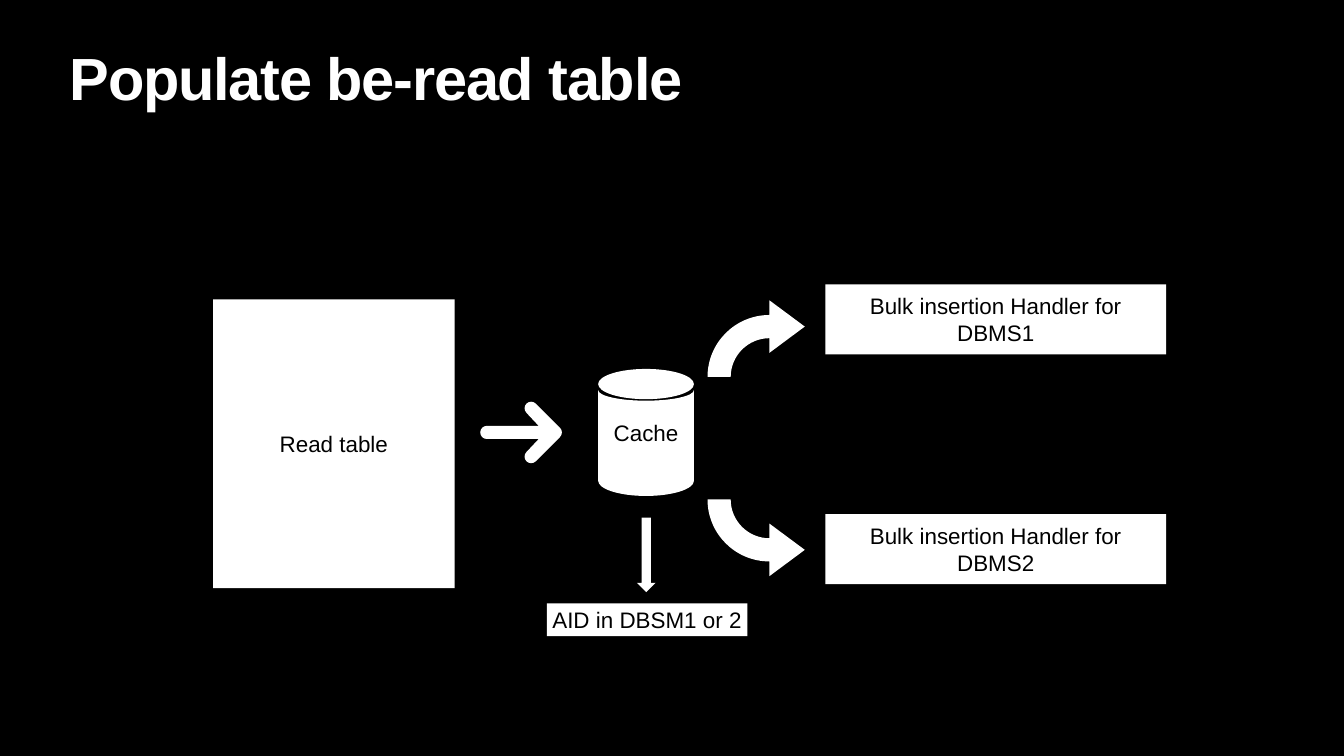
import dataclasses
import math
import typing

import pptx
import pptx.dml.color
import pptx.enum.shapes
import pptx.enum.text
import pptx.oxml.ns
import pptx.util

Preset = pptx.enum.shapes.MSO_SHAPE
Anchor = pptx.enum.text.MSO_ANCHOR
Align = pptx.enum.text.PP_ALIGN
CELL = pptx.util.Inches(1)  # one grid column or row
COLUMNS, ROWS = 26.67, 15


class Point(typing.NamedTuple):
    """A place on the grid; a handle steers a curve."""
    x: float
    y: float
    handle: bool = False


@dataclasses.dataclass(frozen=True)
class Theme:
    """Colours and type of the slide."""
    paper: pptx.dml.color.RGBColor = pptx.dml.color.RGBColor(0, 0, 0)
    ink: pptx.dml.color.RGBColor = pptx.dml.color.RGBColor(255, 255, 255)
    font: str = "Arial"
    title_size: float = 85
    label_size: float = 32
    inset: float = 0.06


@dataclasses.dataclass(frozen=True)
class Block:
    """A filled preset shape on the grid, with an optional label."""
    column: float
    row: float
    columns: float
    rows: float
    label: str = ""
    preset: Preset = Preset.RECTANGLE


THEME = Theme()
HANDLER = "Bulk insertion Handler for DBMS"
READ_TABLE = Block(4.23, 5.94, 4.79, 5.73, "Read table")
TARGETS = (
    Block(16.38, 5.64, 6.76, 1.39, HANDLER + "1"),
    Block(16.38, 10.2, 6.76, 1.39, HANDLER + "2"),
    Block(10.85, 11.97, 3.98, 0.65, "AID in DBSM1 or 2"),
    Block(12.64, 10.27, 0.37, 1.48, preset=Preset.DOWN_ARROW),
)


def cells(count: float) -> int:
    """Turn a count of grid cells into a length."""
    return round(count * CELL)


def write(shape, text: str, size: float, color, bold: bool = False):
    """Write one paragraph into a shape and return it."""
    frame = shape.text_frame
    frame.word_wrap = True
    frame.margin_left = frame.margin_right = cells(THEME.inset)
    frame.margin_top = frame.margin_bottom = cells(THEME.inset)
    frame.vertical_anchor = Anchor.MIDDLE
    para = frame.paragraphs[0]
    para.text = text
    para.alignment = Align.CENTER
    para.font.name, para.font.size = THEME.font, pptx.util.Pt(size)
    para.font.color.rgb, para.font.bold = color, bold
    return para


def paint(shape, label: str = "") -> None:
    """Give a shape the plain fill and its label."""
    shape.shadow.inherit = False
    shape.fill.solid()
    shape.fill.fore_color.rgb = THEME.ink
    shape.line.fill.background()
    if label:
        write(shape, label, THEME.label_size, THEME.paper)


def draw_block(page, block: Block) -> None:
    """Draw a preset shape."""
    box = (block.column, block.row, block.columns, block.rows)
    paint(page.shapes.add_shape(block.preset, *map(cells, box)), block.label)


def bend(shape, points: list[Point]) -> None:
    """Join each pair of handles and the point after it into a curve."""
    steps = list(shape._element.iter(pptx.oxml.ns.qn("a:lnTo")))
    curve = None
    for step, point in zip(steps, points):
        if point.handle and curve is None:
            curve = step.makeelement(pptx.oxml.ns.qn("a:cubicBezTo"))
            step.addprevious(curve)
        if curve is not None:
            curve.append(step[0])
            step.getparent().remove(step)
        if not point.handle:
            curve = None


def draw_outline(page, *contours: list[Point], label: str = "") -> None:
    """Draw closed contours as one freeform."""
    builder = None
    for contour in contours:
        start, *others = [(cells(point.x), cells(point.y)) for point in contour]
        if builder is None:
            builder = page.shapes.build_freeform(*start)
        else:
            builder.move_to(*start)
        builder.add_line_segments(others, close=True)
    shape = builder.convert_to_shape()
    bend(shape, [point for contour in contours for point in contour[1:]])
    paint(shape, label)


def arc(x: float, y: float, across: float, down: float,
        start: int, end: int) -> list[Point]:
    """Trace an elliptic arc; angles run clockwise from the right."""
    count = math.ceil(abs(end - start) / 90)
    turn = math.radians(end - start) / count
    pull = 4 / 3 * math.tan(turn / 4)

    def place(angle: float, lead: float = 0) -> Point:
        return Point(x + across * (math.cos(angle) - lead * math.sin(angle)),
                     y + down * (math.sin(angle) + lead * math.cos(angle)), lead != 0)

    points = [place(math.radians(start))]
    for index in range(count):
        angle = math.radians(start) + index * turn
        points += [place(angle, pull), place(angle + turn, -pull), place(angle + turn)]
    return points


def draw_round_arrow(page, left: float, middle: float) -> None:
    """Draw the arrow with round ends that points right."""
    cap, prong, spread, tip = 0.13, 0.88, 0.48, 1.36
    neck = left + 1.16

    def end(across: float, down: float, start: int, stop: int) -> list[Point]:
        return arc(left + cap + across, middle + down, cap, cap, start, stop)

    draw_outline(page, [
        *end(0, 0, 90, 270), Point(neck, middle - cap),
        *end(prong, -spread, 135, 315),
        *end(tip, 0, -45, 45),
        *end(prong, spread, 45, 225), Point(neck, middle + cap),
    ])


def draw_cylinder(page, center: float, top: float, label: str) -> None:
    """Draw the data store as a lid above a body."""
    across, down = 0.95, 0.3
    shoulder, foot = top + 0.42, top + 2.22
    lid = arc(center, top + down, across, down, 0, 360)
    body = (arc(center, foot, across, down, 0, 180)
            + arc(center, shoulder, across, 0.21, 180, 0))
    draw_outline(page, lid, body, label=label)


def draw_bent_arrow(page, x: float, y: float, turn: int) -> None:
    """Draw a quarter-ring arrow: turn 1 bends it up, -1 down."""
    outer, inner, head, length = 1.23, 0.77, 0.52, 0.7
    axis = y - turn * (outer + inner) / 2
    draw_outline(page, [
        *arc(x, y, outer, turn * outer, 180, 270),
        Point(x, axis - turn * head), Point(x + length, axis),
        Point(x, axis + turn * head),
        *arc(x, y, inner, turn * inner, 270, 180),
    ])


def draw_title(page, text: str) -> None:
    """Write the heading."""
    box = page.shapes.add_textbox(*map(cells, (1.32, 1.02, 24.03, 1.57)))
    para = write(box, text, THEME.title_size, THEME.ink, bold=True)
    box.text_frame.vertical_anchor = Anchor.TOP
    para.alignment = Align.LEFT
    para.line_spacing = 0.8
    para.runs[0].font._element.set("spc", "-170")


def main() -> None:
    """Build and save the slide."""
    deck = pptx.Presentation()
    deck.slide_width, deck.slide_height = cells(COLUMNS), cells(ROWS)
    page = deck.slides.add_slide(deck.slide_layouts[6])
    page.background.fill.solid()
    page.background.fill.fore_color.rgb = THEME.paper
    draw_title(page, "Populate be-read table")
    draw_block(page, READ_TABLE)
    draw_round_arrow(page, 9.53, 8.58)
    draw_cylinder(page, 12.82, 7.32, "Cache")
    for row, turn in ((7.48, 1), (9.91, -1)):
        draw_bent_arrow(page, 15.27, row, turn)
    for block in TARGETS:
        draw_block(page, block)
    deck.save("out.pptx")


main()
